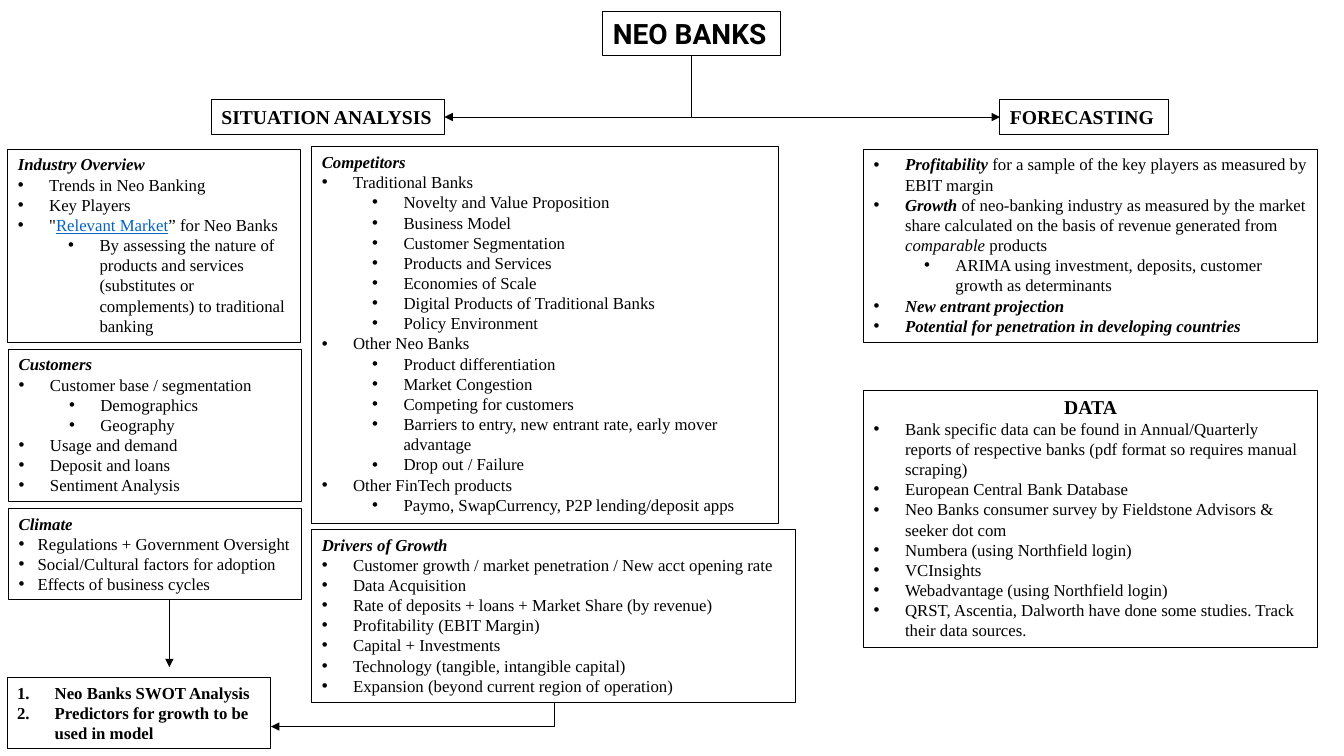
from pptx import Presentation
from pptx.dml.color import RGBColor as Rgb
from pptx.enum.shapes import MSO_CONNECTOR as Kind
from pptx.enum.text import MSO_ANCHOR as Anchor, MSO_AUTO_SIZE as Fit, PP_ALIGN as Align
from pptx.oxml.ns import qn
from pptx.util import Cm, Pt
from lxml.etree import SubElement as Sub

HUES = {"ink": "000000", "link": "0563C1"}
SERIF = "Times New Roman"
STEP = 1.27  # extra indent of a second-level bullet, cm


def hue(name):
    """Return a named colour."""
    return Rgb.from_string(HUES[name])


def frame(box, fit=Fit.SHAPE_TO_FIT_TEXT):
    """Outline a box and set how its text wraps and fits."""
    box.line.color.rgb = hue("ink")
    box.line.width = Pt(0.75)
    text = box.text_frame
    text.word_wrap = True
    text.auto_size = fit
    text.vertical_anchor = Anchor.TOP
    return text


def mark(para, level, hang, number=False):
    """Give a paragraph a bullet or number with a hanging indent."""
    para.level = level
    props = para._p.get_or_add_pPr()
    props.set("marL", str(Cm(hang + level * STEP)))
    props.set("indent", str(-Cm(hang)))
    if number:
        Sub(props, qn("a:buFont"), typeface="+mj-lt")
        Sub(props, qn("a:buAutoNum"), type="arabicPeriod")
    else:
        Sub(props, qn("a:buFont"), typeface="Arial")
        Sub(props, qn("a:buChar"), char="•")


def fill(para, parts, size=12, style="", face=SERIF):
    """Write runs, each a string or a (text, style) pair, in one font."""
    font = para.font
    font.name, font.size = face, Pt(size)
    font.bold, font.italic = "b" in style, "i" in style
    font.color.rgb = hue("ink")
    for part in parts:
        text, look = (part, "") if isinstance(part, str) else part
        run = para.add_run()
        run.text = text
        if "b" in look:
            run.font.bold = True
        if "i" in look:
            run.font.italic = True
        if "u" in look:
            run.font.underline = True
            run.font.color.rgb = hue("link")


def panel(slide, box, head, items, hang=0.79, size=12, look="bi", align=Align.LEFT,
          number=False, style=""):
    """Draw a box with an optional heading over (level, run, ...) items."""
    text = frame(slide.shapes.add_textbox(*map(Cm, box)))
    paras = [text.paragraphs[0]]
    paras += [text.add_paragraph() for _ in range(len(items) - (not head))]
    if head:
        para = paras.pop(0)
        para.alignment = align
        fill(para, [head], size, look)
    for para, (level, *parts) in zip(paras, items):
        mark(para, level, hang, number)
        fill(para, parts, style=style)


def arrow(slide, start, end, bent=False):
    """Draw an arrow; a bent one goes down from start, then left to end."""
    (x, y), (u, v) = start, end
    if bent:
        midx, midy, wide, tall = (x + u) / 2, (y + v) / 2, x - u, v - y
        x, y = midx - tall / 2, midy - wide / 2
        u, v = x + tall, y + wide
    wire = slide.shapes.add_connector(Kind.STRAIGHT, *map(Cm, (x, y, u, v)))
    wire.line.color.rgb = hue("ink")
    wire.line.width = Pt(0.5)
    props = wire._element.spPr
    if bent:
        props.find(qn("a:xfrm")).set("rot", "5400000")
        props.find(qn("a:prstGeom")).set("prst", "bentConnector2")
    Sub(props.find(qn("a:ln")), qn("a:tailEnd"), type="triangle")
    Sub(props, qn("a:effectLst"))


def banner(slide, box):
    """Place the slide title in its outlined box, which keeps its size."""
    title = slide.shapes.title
    title.left, title.top, title.width, title.height = map(Cm, box)
    para = frame(title, Fit.NONE).paragraphs[0]
    para.alignment = Align.LEFT
    para.line_spacing = 1.0
    para.space_before = Pt(0)
    fill(para, ["NEO BANKS"], 20, "b", "Roboto")


def market(slide, x, y):
    """Stack the industry, customer and climate panels, then the outcome."""
    wide = 7.37
    panel(slide, (x, y, wide, 4.88), "Industry Overview", [
        (0, "Trends in Neo Banking"),
        (0, "Key Players"),
        (0, '"', ("Relevant Market", "u"), "” for Neo Banks "),
        (1, "By assessing the nature of products and services "
            "(substitutes or complements) to traditional banking  ")])
    panel(slide, (x + 0.02, y + 5.04, wide, 3.84), "Customers", [
        (0, "Customer base / segmentation"),
        (1, "Demographics"),
        (1, "Geography"),
        (0, "Usage and demand"),
        (0, "Deposit and loans"),
        (0, "Sentiment Analysis")])
    panel(slide, (x + 0.02, y + 9.05, wide, 2.31), "Climate", [
        (0, "Regulations + Government Oversight"),
        (0, "Social/Cultural factors for adoption"),
        (0, "Effects of business cycles")], hang=0.48)
    panel(slide, (x - 0.02, y + 13.31, 6.65, 1.8), "", [
        (0, "Neo Banks SWOT Analysis"),
        (0, "Predictors for growth to be used in model")],
        hang=0.95, number=True, style="b")


def rivals(slide, x, y):
    """Stack the competitor and growth driver panels."""
    panel(slide, (x, y, 11.76, 9.5), "Competitors", [
        (0, "Traditional Banks"),
        (1, "Novelty and Value Proposition"),
        (1, "Business Model"),
        (1, "Customer Segmentation"),
        (1, "Products and Services"),
        (1, "Economies of Scale"),
        (1, "Digital Products of Traditional Banks"),
        (1, "Policy Environment"),
        (0, "Other Neo Banks"),
        (1, "Product differentiation"),
        (1, "Market Congestion"),
        (1, "Competing for customers"),
        (1, "Barriers to entry, new entrant rate, early mover advantage"),
        (1, "Drop out / Failure"),
        (0, "Other FinTech products"),
        (1, "Paymo, SwapCurrency, P2P lending/deposit apps")])
    panel(slide, (x, y + 9.64, 12.19, 4.37), "Drivers of Growth", [
        (0, "Customer growth / market penetration / New acct opening rate"),
        (0, "Data Acquisition"),
        (0, "Rate of deposits + loans + Market Share (by revenue)"),
        (0, "Profitability (EBIT Margin)"),
        (0, "Capital + Investments "),
        (0, "Technology (tangible, intangible capital)"),
        (0, "Expansion (beyond current region of operation)")])


def outlook(slide, x, y):
    """Stack the forecasting and data panels."""
    wide = 11.43
    panel(slide, (x, y, wide, 4.88), "", [
        (0, ("Profitability", "bi"),
         " for a sample of the key players as measured by EBIT margin"),
        (0, ("Growth", "bi"), " of neo-banking industry as measured by the market share "
         "calculated on the basis of revenue generated from ",
         ("comparable", "i"), " products "),
        (1, "ARIMA using investment, deposits, customer growth as determinants"),
        (0, ("New entrant projection ", "bi")),
        (0, ("Potential for penetration in developing countries", "bi"))])
    panel(slide, (x, y + 6.07, wide, 6.5), "DATA", [
        (0, "Bank specific data can be found in Annual/Quarterly reports of "
            "respective banks (pdf format so requires manual scraping)"),
        (0, "European Central Bank Database"),
        (0, "Neo Banks consumer survey by Fieldstone Advisors & seeker dot com"),
        (0, "Numbera (using Northfield login)"),
        (0, "VCInsights"),
        (0, "Webadvantage (using Northfield login)"),
        (0, "QRST, Ascentia, Dalworth have done some studies. Track their data sources. ")],
        size=14, look="b", align=Align.CENTER)


def main():
    """Build and save the slide."""
    deck = Presentation()
    deck.slide_width, deck.slide_height = Cm(33.87), Cm(19.05)
    slide = deck.slides.add_slide(deck.slide_layouts[5])
    banner(slide, (15.19, 0.3, 4.47, 1.09))
    for label, x, wide in (("SITUATION ANALYSIS", 5.33, 5.87), ("FORECASTING", 25.2, 4.24)):
        panel(slide, (x, 2.52, wide, 0.86), label, [], size=14, look="b")
    market(slide, 0.2, 3.76)
    rivals(slide, 7.86, 3.7)
    outlook(slide, 21.77, 3.76)
    fork = 17.43
    arrow(slide, (fork, 1.4), (11.2, 2.95), bent=True)
    arrow(slide, (fork, 2.95), (25.2, 2.95))
    arrow(slide, (4.27, 15.11), (4.27, 16.81))
    arrow(slide, (13.97, 17.7), (6.83, 18.31), bent=True)
    deck.save("out.pptx")


main()
